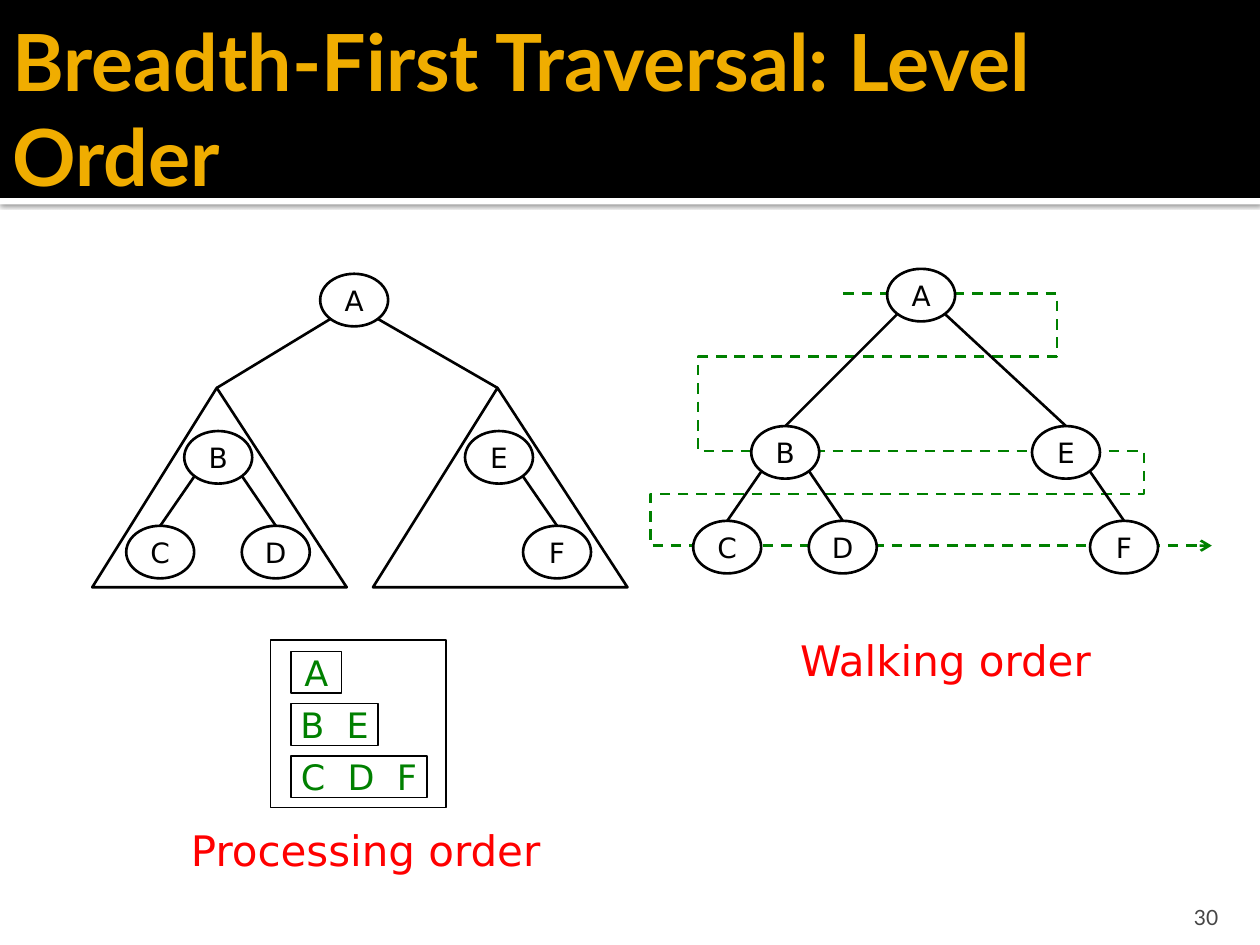
from lxml import etree
from pptx import Presentation
from pptx.dml.color import RGBColor
from pptx.enum import dml, shapes, text
from pptx.oxml.ns import qn
from pptx.util import Cm, Pt

TITLE = "Breadth-First Traversal: Level Order"
PAGE_NUMBER = "30"
CAPTIONS = [("Processing order", 3.6, 16.5), ("Walking order", 15.88, 12.67)]

# Tree: node centres in cm, and edges as (parent, child)
NODES = {"A": (7.14, 6.05), "B": (4.4, 9.22), "C": (3.23, 11.13),
         "D": (5.56, 11.13), "E": (10.06, 9.22), "F": (11.23, 11.13)}
EDGES = [("A", "B"), ("A", "E"), ("B", "C"), ("B", "D"), ("E", "F")]
SUBTREE_ROOTS = ("B", "E")
NODE_SIZE = (1.37, 1.06)
EDGE_START = (0.48, 0.38)  # from the parent's centre, towards the child
TRIANGLE = [(-0.03, -1.4), (-2.54, 2.62), (2.59, 2.62)]  # from the subtree root
WALKING_SHIFT = (11.43, -0.1)
WALKING_PATH = [(17, 5.92), (21.31, 5.92), (21.31, 7.19), (14.07, 7.19),
                (14.07, 9.09), (23.06, 9.09), (23.06, 9.96), (13.11, 9.96),
                (13.11, 11), (24.43, 11)]

LEVELS = [("A", 1.02), ("B  E", 1.75), ("C  D  F", 2.74)]  # text, box width
LEVEL_START, LEVEL_PITCH, LEVEL_HEIGHT = (5.87, 13.13), 1.055, 0.84
LEVEL_FRAME = (5.46, 12.9, 3.53, 3.38)

THEME = {
    "black": "000000", "white": "FFFFFF", "gold": "F0AD00", "grey": "454545",
    "green": "008000", "red": "FF0000",
    "heading_font": "Lato", "diagram_font": "DejaVu Sans",
    "title": 45, "caption": 24, "level": 20, "node": 16, "number": 12,
    "thick": 1.5, "thin": 0.75,
}


def color(name):
    return RGBColor.from_string(THEME[name])


def write(shape, content, size, ink, font="diagram_font", bold=False, wrap=True,
          align=text.PP_ALIGN.LEFT, anchor=text.MSO_ANCHOR.TOP):
    frame = shape.text_frame
    frame.word_wrap = wrap
    frame.auto_size = text.MSO_AUTO_SIZE.NONE
    frame.vertical_anchor = anchor
    paragraph = frame.paragraphs[0]
    paragraph.alignment = align
    run = paragraph.add_run()
    run.text = content
    run.font.name = THEME[font]
    run.font.size = Pt(THEME[size])
    run.font.bold = bold
    run.font.color.rgb = color(ink)
    return frame


def style(shape, fill=None, line=None, width="thick"):
    shape.shadow.inherit = False
    if fill:
        shape.fill.solid()
        shape.fill.fore_color.rgb = color(fill)
    else:
        shape.fill.background()
    if line:
        shape.line.color.rgb = color(line)
        shape.line.width = Pt(THEME[width])
    else:
        shape.line.fill.background()
    return shape


def add_box(slide, kind, box, **look):
    return style(slide.shapes.add_shape(kind, *map(Cm, box)), **look)


def add_outline(slide, points, closed, **look):
    points = [(Cm(x), Cm(y)) for x, y in points]
    builder = slide.shapes.build_freeform(*points[0])
    builder.add_line_segments(points[1:], close=closed)
    return style(builder.convert_to_shape(), **look)


def add_header(slide):
    title = slide.shapes.title
    rectangle = shapes.MSO_SHAPE.RECTANGLE
    strip = add_box(slide, rectangle, (0, 3.99, 25.4, 0.13), fill="white")
    band = add_box(slide, rectangle, (0, 0, 25.4, 3.99), fill="black")
    effects = strip.element.spPr.find(qn("a:effectLst"))
    shadow = etree.SubElement(effects, qn("a:outerShdw"), blurRad=str(Pt(2.5)),
                              dist=str(Pt(0.8)), dir="5400000")
    tint = etree.SubElement(shadow, qn("a:srgbClr"), val=THEME["black"])
    etree.SubElement(tint, qn("a:alpha"), val="60000")
    for bar in (strip, band):
        title.element.addprevious(bar.element)

    title.left, title.top, title.width, title.height = map(Cm, (0, 0.43, 25.4, 3.48))
    frame = write(title, TITLE, "title", "gold", font="heading_font", bold=True,
                  anchor=text.MSO_ANCHOR.MIDDLE)
    frame.margin_left = Cm(0.25)
    frame.margin_right = frame.margin_top = frame.margin_bottom = Cm(0.13)


def add_nodes(slide, shift=(0, 0), fill=None):
    width, height = NODE_SIZE
    nodes = {}
    for name, (x, y) in NODES.items():
        box = (x + shift[0] - width / 2, y + shift[1] - height / 2, width, height)
        nodes[name] = add_box(slide, shapes.MSO_SHAPE.OVAL, box, fill=fill, line="black")
        write(nodes[name], name, "node", "black", wrap=False,
              align=text.PP_ALIGN.CENTER, anchor=text.MSO_ANCHOR.MIDDLE)
    return nodes


def add_edges(slide, nodes, shift=(0, 0), apexes=None):
    """Join parents to children, or to the apex of a child's triangle."""
    apexes = apexes or {}
    for parent, child in EDGES:
        (x, y), (child_x, child_y) = NODES[parent], NODES[child]
        side = 1 if child_x > x else -1
        start = (x + side * EDGE_START[0], y + EDGE_START[1])
        end = apexes.get(child, (child_x, child_y - NODE_SIZE[1] / 2))
        ends = [Cm(point[axis] + shift[axis]) for point in (start, end) for axis in (0, 1)]
        edge = slide.shapes.add_connector(shapes.MSO_CONNECTOR.STRAIGHT, *ends)
        edge.line.color.rgb = color("black")
        edge.line.width = Pt(THEME["thick"])
        etree.SubElement(edge.element.spPr, qn("a:effectLst"))
        if child not in apexes:
            edge.end_connect(nodes[child], 0)


def add_processing_tree(slide):
    apexes = {}
    for root in SUBTREE_ROOTS:
        x, y = NODES[root]
        corners = [(x + dx, y + dy) for dx, dy in TRIANGLE]
        apexes[root] = corners[0]
        add_outline(slide, corners, True, line="black")
    add_edges(slide, add_nodes(slide), apexes=apexes)


def add_walking_tree(slide):
    walk = add_outline(slide, WALKING_PATH, False, line="green")
    walk.line.dash_style = dml.MSO_LINE.DASH
    etree.SubElement(walk.line._get_or_add_ln(), qn("a:tailEnd"), type="arrow")
    add_edges(slide, add_nodes(slide, WALKING_SHIFT, fill="white"), WALKING_SHIFT)


def add_levels(slide):
    rectangle = shapes.MSO_SHAPE.RECTANGLE
    add_box(slide, rectangle, LEVEL_FRAME, line="black", width="thin")
    left, top = LEVEL_START
    for index, (names, width) in enumerate(LEVELS):
        box = (left, top + index * LEVEL_PITCH, width, LEVEL_HEIGHT)
        level = add_box(slide, rectangle, box, line="black", width="thin")
        write(level, names, "level", "green", wrap=False,
              align=text.PP_ALIGN.CENTER, anchor=text.MSO_ANCHOR.MIDDLE)


def main():
    presentation = Presentation()
    presentation.slide_width, presentation.slide_height = Cm(25.4), Cm(19.05)
    slide = presentation.slides.add_slide(presentation.slide_layouts[5])
    add_header(slide)
    add_processing_tree(slide)
    add_walking_tree(slide)
    add_levels(slide)
    for caption, left, top in CAPTIONS:
        box = slide.shapes.add_textbox(Cm(left), Cm(top), Cm(7.65), Cm(1.3))
        write(box, caption, "caption", "red")
    number = slide.shapes.add_textbox(Cm(22.78), Cm(17.98), Cm(2.03), Cm(0.76))
    write(number, PAGE_NUMBER, "number", "grey", font="heading_font",
          align=text.PP_ALIGN.RIGHT, anchor=text.MSO_ANCHOR.BOTTOM).margin_bottom = 0
    presentation.save("out.pptx")


if __name__ == "__main__":
    main()
